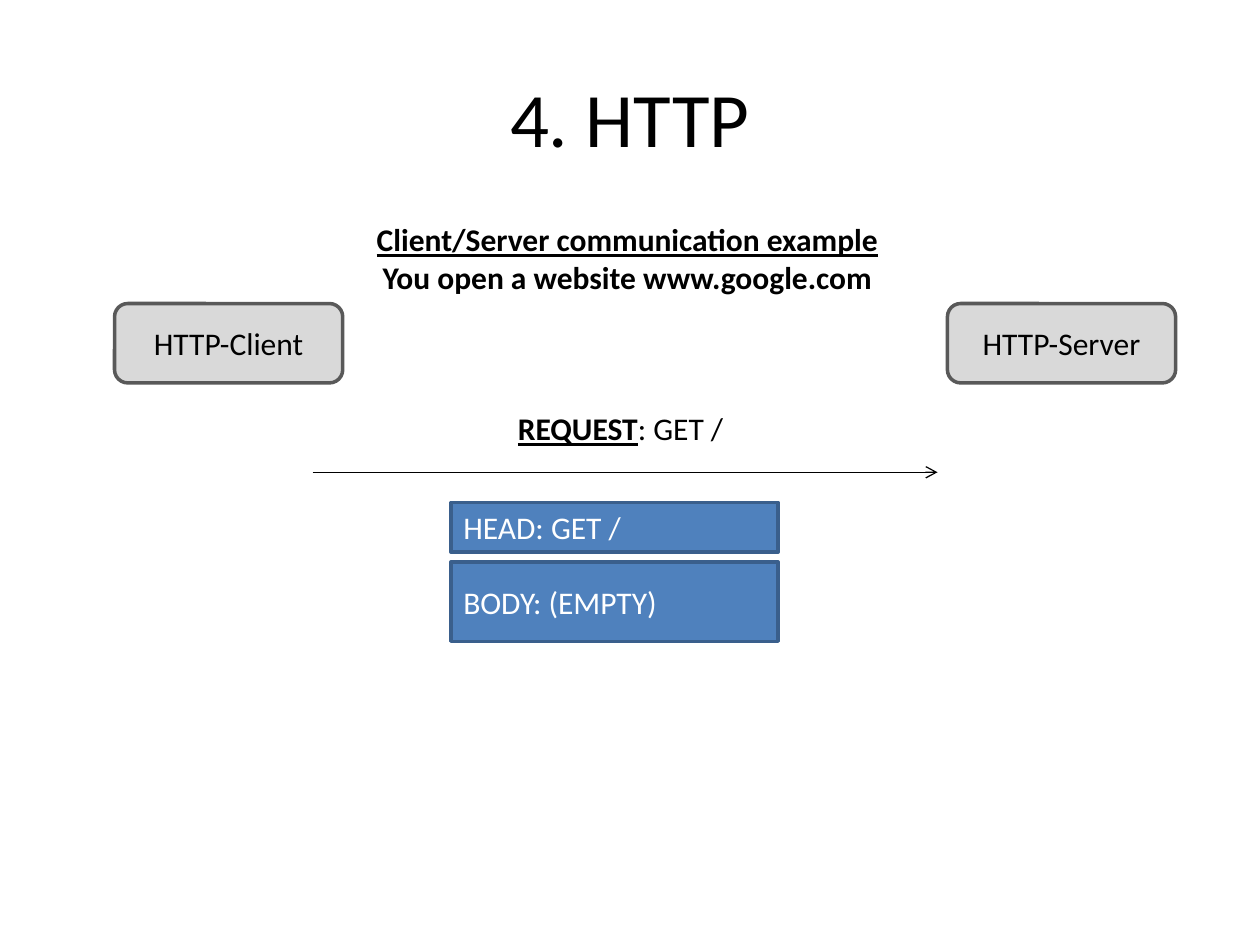
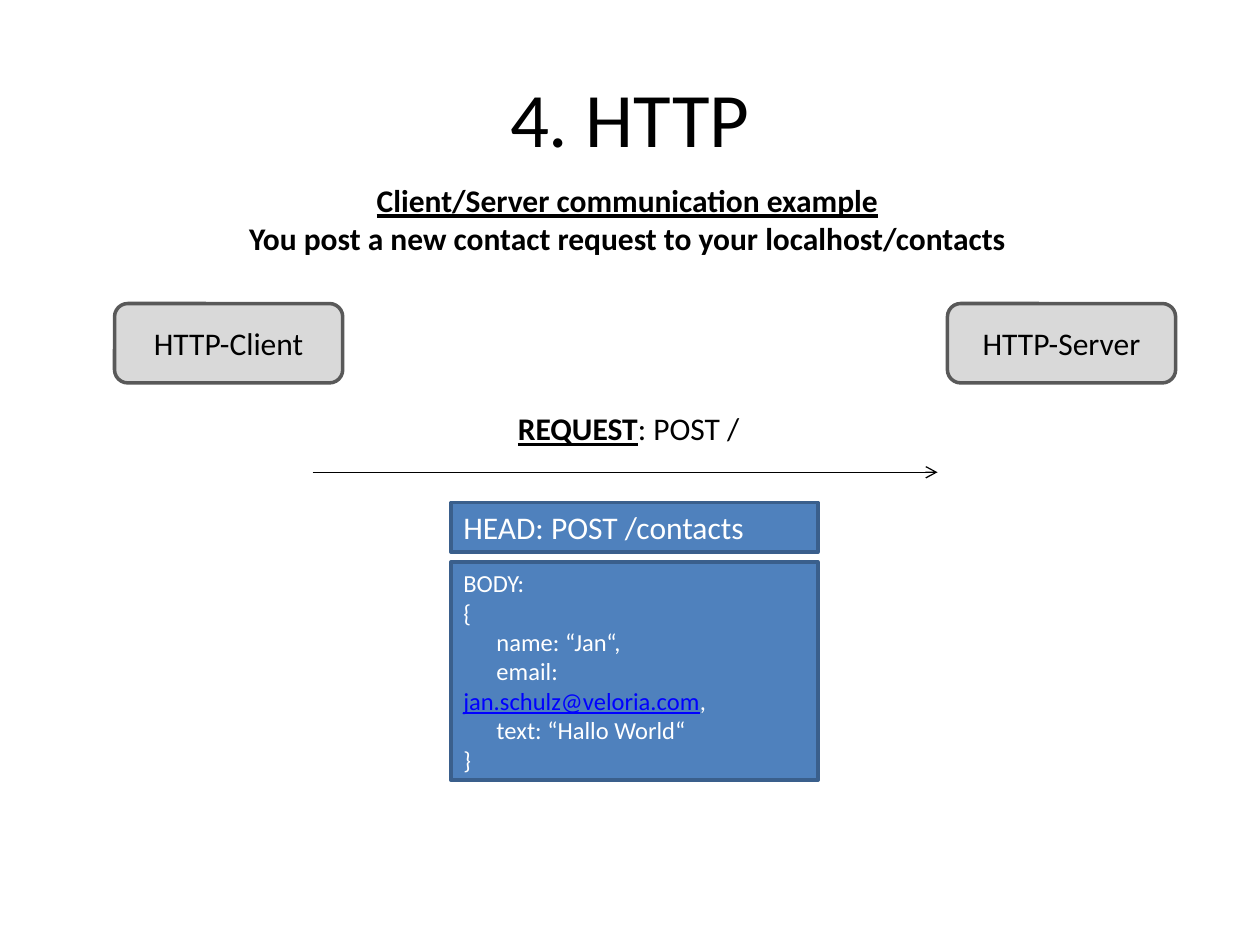
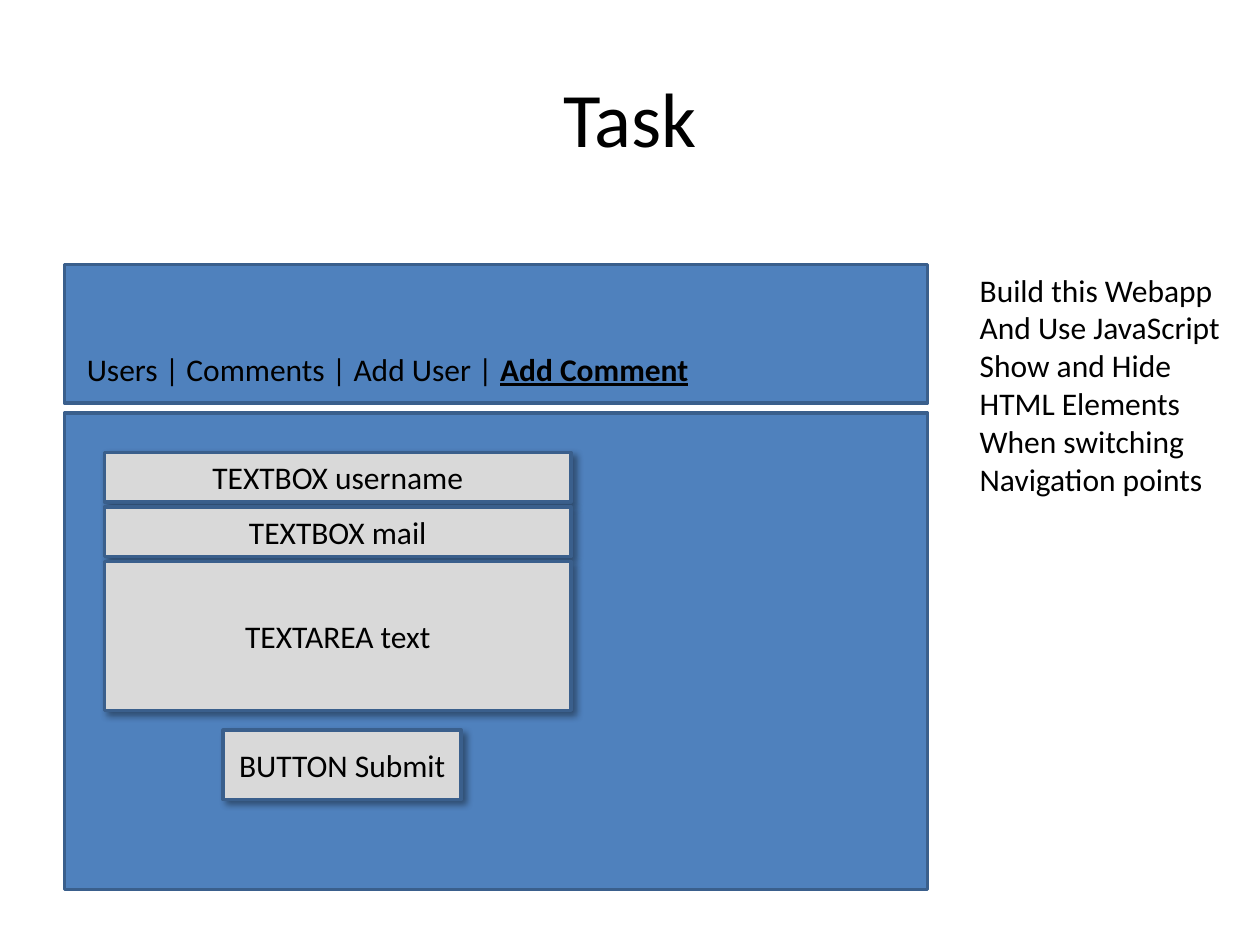
import pptx
import pptx.util
import pptx.dml.color
import pptx.enum.shapes
import pptx.enum.text
import pptx.oxml
import pptx.oxml.ns
import lxml.etree

Cm = pptx.util.Cm
Pt = pptx.util.Pt
KIND = pptx.enum.shapes.MSO_SHAPE
ALIGN = pptx.enum.text.PP_ALIGN
ANCHOR = pptx.enum.text.MSO_ANCHOR

FONT = "Calibri"
BLACK = "000000"
WHITE = "FFFFFF"
BLUE = "4F81BD"
NAVY = "3A5F8C"
GREY = "D9D9D9"
DARK = "595959"
LINK = "0000FF"
PAGE = (0, 0, 25.4, 19.05)
TITLE = (1.27, 0.76, 22.86, 3.18)


def rgb(code):
    return pptx.dml.color.RGBColor.from_string(code)


def tag(parent, name, **attrs):
    node = lxml.etree.SubElement(parent, pptx.oxml.ns.qn(name))
    for key, value in attrs.items():
        node.set(key, str(value))
    return node


def style(run, color, size, bold=False, under=False):
    font = run.font
    font.name = FONT
    font.size = Pt(size)
    font.bold = bold
    font.underline = under
    font.color.rgb = rgb(color)


def write(frame, lines, color=BLACK, size=18, align=ALIGN.LEFT):
    frame.text = "\n".join("".join(text for text, _ in line) for line in lines)
    for para, line in zip(frame.paragraphs, lines):
        para.alignment = align
        if len(line) > 1:
            para.text = ""
            for text, _ in line:
                para.add_run().text = text
        for run, (_, look) in zip(para.runs, line):
            style(run, **{"color": color, "size": size, **look})


def plain(*texts):
    return [[(text, {})] for text in texts]


def label(slide, box, lines, align=ALIGN.LEFT):
    shape = slide.shapes.add_textbox(*map(Cm, box))
    shape.text_frame.word_wrap = True
    write(shape.text_frame, lines, align=align)


def block(slide, box, lines=(), fill=BLUE, edge=NAVY, kind=KIND.RECTANGLE,
          anchor=ANCHOR.MIDDLE, **look):
    shape = slide.shapes.add_shape(kind, *map(Cm, box))
    shape.shadow.inherit = False
    shape.fill.solid()
    shape.fill.fore_color.rgb = rgb(fill)
    shape.line.color.rgb = rgb(edge)
    shape.line.width = Pt(2)
    shape.text_frame.vertical_anchor = anchor
    if lines:
        write(shape.text_frame, lines, **look)
    return shape


def shade(shape):
    effects = shape.element.spPr.find(pptx.oxml.ns.qn("a:effectLst"))
    shadow = tag(effects, "a:outerShdw", blurRad=Pt(4), dist=Pt(3),
                 dir=45 * 60000, algn="tl", rotWithShape=0)
    color = tag(shadow, "a:srgbClr", val=BLACK)
    tag(color, "a:alpha", val=40000)


def arrow(slide, left, right, top):
    line = slide.shapes.add_connector(
        pptx.enum.shapes.MSO_CONNECTOR.STRAIGHT,
        Cm(left), Cm(top), Cm(right), Cm(top))
    line.line.color.rgb = rgb(BLACK)
    line.line.width = Pt(0.75)
    props = line.element.spPr
    tag(props.find(pptx.oxml.ns.qn("a:ln")), "a:tailEnd", type="arrow")
    tag(props, "a:effectLst")


def start(deck, text):
    slide = deck.slides.add_slide(deck.slide_layouts[5])
    title = slide.shapes.title
    title.left, title.top, title.width, title.height = map(Cm, TITLE)
    title.text_frame.vertical_anchor = ANCHOR.MIDDLE
    write(title.text_frame, plain(text), size=44, align=ALIGN.CENTER)
    return slide


def peers(slide, box):
    left, top, width, height = box
    size = (4.6, height)
    for name, x in (("Client", left), ("Server", left + width - size[0])):
        block(slide, (x, top, *size), plain("HTTP-" + name), GREY, DARK,
              KIND.ROUNDED_RECTANGLE, align=ALIGN.CENTER)


def packet(slide, box, head, body, **look):
    left, top, width, height = box
    cap, gap = 1, 0.2
    block(slide, (left, top, width, cap), plain(head), color=WHITE)
    block(slide, (left, top + cap + gap, width, height - cap - gap), body,
          color=WHITE, **look)


def call(deck, box, topic, drop, verb, route, area, body, **look):
    left, top, _, _ = box
    slide = start(deck, "4. HTTP")
    peers(slide, (left + 2.31, top + 6.12, 21.39, 1.6))
    arrow(slide, left + 6.3, left + 18.9, top + 9.52)
    label(slide, (left + 10.19, top + 8.13, 5.2, 1.02),
          [[("REQUEST", {"bold": True, "under": True}), (f": {verb} /", {})]])
    packet(slide, (left + 9.09, top + 10.13, *area),
           f"HEAD: {verb} {route}", body, **look)
    label(slide, (left + 4.65, top + drop, 16, 1.8),
          [[("Client/Server communication example",
             {"bold": True, "under": True})],
           [(topic, {"bold": True})]], ALIGN.CENTER)


def form(slide, box):
    left, top, width, _ = box
    gap = 0.1
    fields = (("TEXTBOX username", 1), ("TEXTBOX mail", 1),
              ("TEXTAREA text", 3))
    for name, height in fields:
        shade(block(slide, (left, top, width, height), plain(name), GREY,
                    align=ALIGN.CENTER))
        top += height + gap
    shade(block(slide, (left + 2.39, top + 0.3, 4.8, 1.4),
                plain("BUTTON Submit"), GREY, align=ALIGN.CENTER))


def webapp(slide, box):
    left, top, width, height = box
    bar, gap = 2.8, 0.2
    body = top + bar + gap
    block(slide, (left, body, width, height - bar - gap))
    block(slide, (left, top, width, bar))
    label(slide, (left + 0.2, top + 1.6, 13.5, 1.02),
          [[("Users | Comments | Add User | ", {}),
            ("Add Comment", {"bold": True, "under": True})]])
    form(slide, (left + 0.81, body + 0.79, 9.4, 7))


def task(deck, box):
    left, top, _, _ = box
    slide = start(deck, "Task")
    webapp(slide, (left + 1.3, top + 5.33, 17.4, 12.6))
    label(slide, (left + 19.5, top + 5.33, 5.7, 4.88),
          plain("Build this Webapp", "And Use JavaScript", "Show and Hide",
                "HTML Elements", "When switching", "Navigation points"))


def main():
    deck = pptx.Presentation()
    deck.slide_width, deck.slide_height = map(Cm, PAGE[2:])
    call(deck, PAGE, "You open a website www.google.com", 4.32, "GET", "/",
         (6.6, 2.8), plain("BODY: (EMPTY)"))
    mail = [("      email: ", {}),
            ("jan.schulz@veloria.com", {"color": LINK, "under": True}),
            (",", {})]
    body = [*plain("BODY:", "{", "      name: “Jan“,"), mail,
            *plain("      text: “Hallo World“", "}")]
    call(deck, PAGE,
         "You post a new contact request to your localhost/contacts", 3.53,
         "POST", "/contacts", (7.4, 5.6), body, size=14, anchor=ANCHOR.TOP)
    task(deck, PAGE)
    deck.save("out.pptx")


if __name__ == "__main__":
    main()
